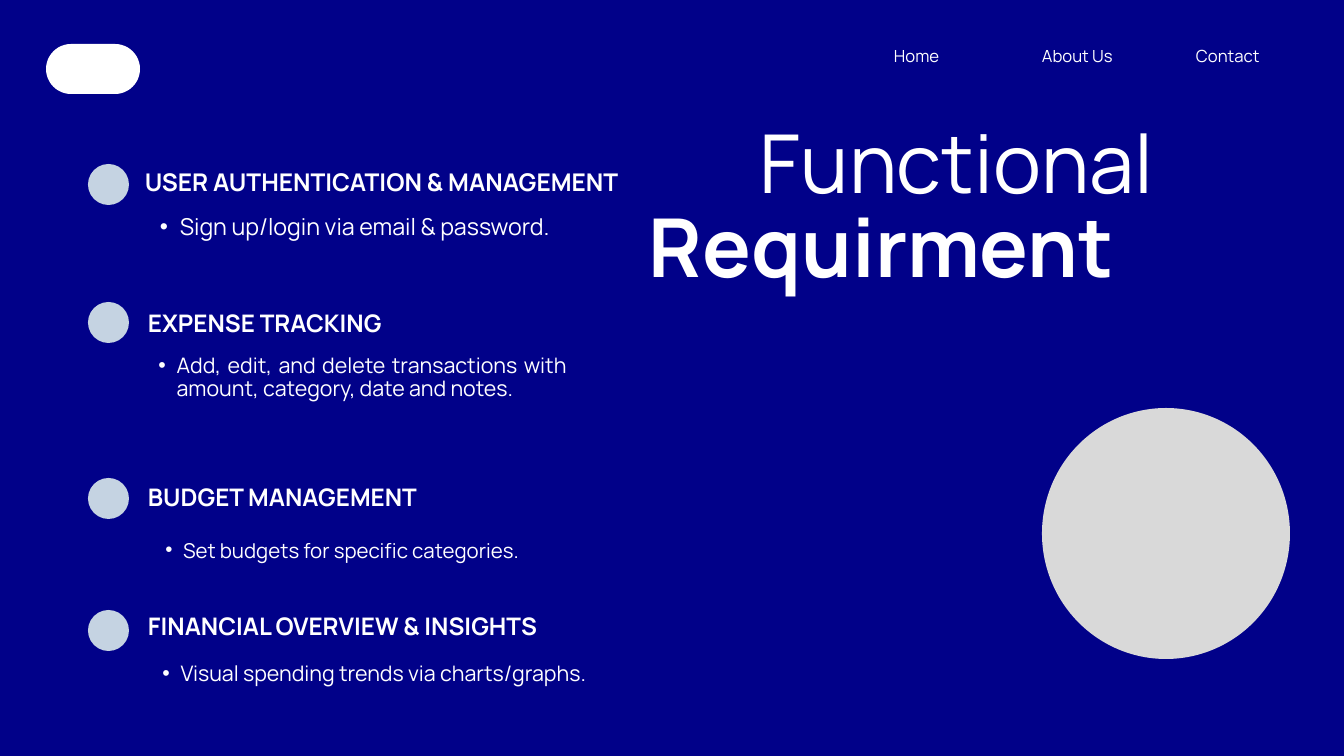
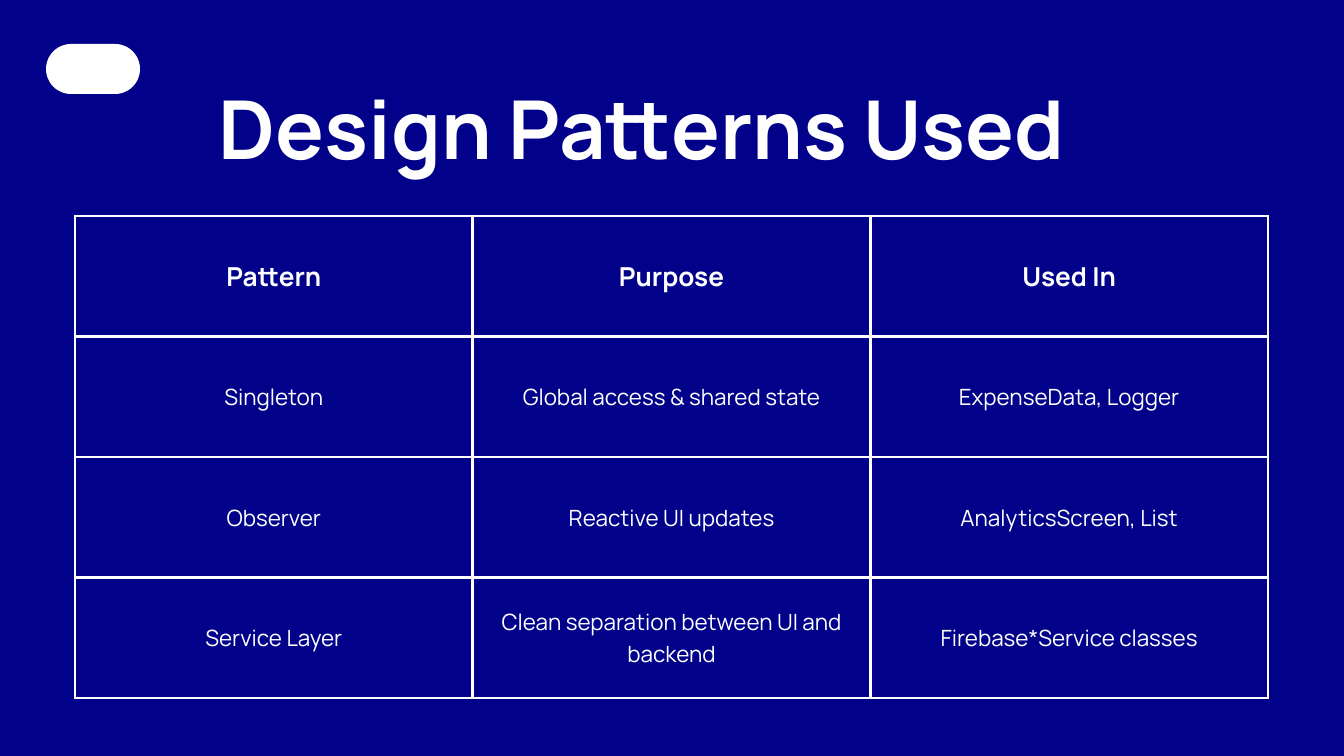
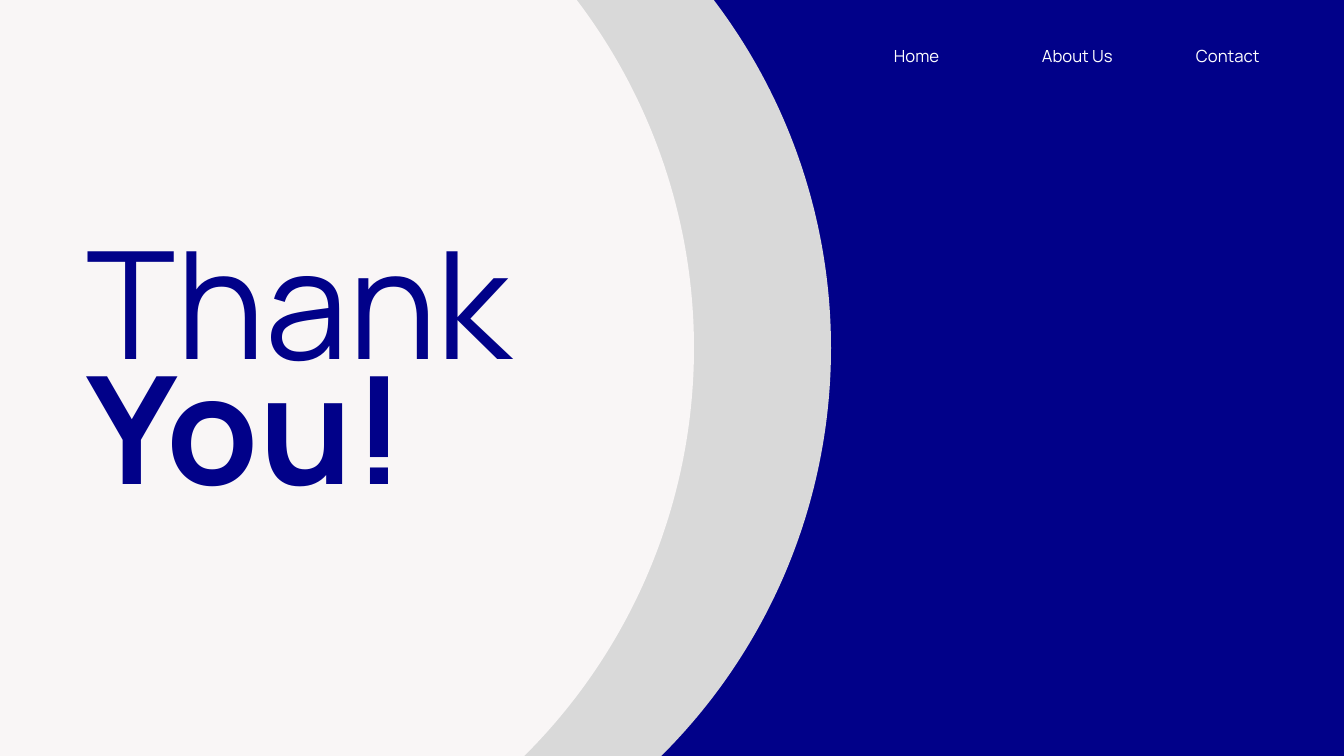
from lxml.etree import SubElement
from pptx import Presentation
from pptx.dml.color import RGBColor
from pptx.enum.shapes import MSO_SHAPE as Shape
from pptx.enum.text import MSO_ANCHOR as Anchor, MSO_AUTO_SIZE as AutoSize, PP_ALIGN as Align
from pptx.oxml.ns import qn
from pptx.util import Pt

EMU_PER_PX = 914400 / 67.2
SLIDE_SIZE = (1344, 756)

THEME = {
    "font": "Manrope",
    "colors": {"navy": "010189", "white": "FFFFFF", "grey": "D9D9D9",
               "mist": "C5D3E2", "paper": "F9F6F6"},
    "sizes": {"nav": 17.9, "title": 87, "closing": 160.3, "heading": 25.9,
              "table head": 28, "table body": 24},
    "text leading": 1.08,
    "table leading": 1.4,
    "border": 3,
}
COLORS, SIZES = THEME["colors"], THEME["sizes"]

# Content: boxes are (left, top, width, height) in px
NAV = [("Home", 894, 62), ("About Us", 1042, 89), ("Contact", 1196, 89)]
PILL = (46, 44, 94, 50)

REQUIREMENT_TITLE = [
    ("Functional", (760, 122, 532, 95), False),
    ("Requirment", (649, 206, 546, 95), True),
]
REQUIREMENT_DISC = (1042, 408, 248, 251)
DOT_LEFT, DOT_SIZE = 88, 41
REQUIREMENTS = [
    {"dot top": 164, "heading": "USER AUTHENTICATION & MANAGEMENT",
     "heading box": (145, 170, 495, 28), "heading size": 26.1,
     "detail": "Sign up/login via email & password.",
     "detail box": (140, 215, 427, 51), "detail size": 24.9},
    {"dot top": 302, "heading": "EXPENSE TRACKING",
     "heading box": (148, 311, 411, 54),
     "detail": "Add, edit, and delete transactions with amount, category, date and notes.",
     "detail box": (140, 355, 427, 71), "detail size": 22.9},
    {"dot top": 478, "heading": "BUDGET MANAGEMENT",
     "heading box": (148, 485, 370, 54),
     "detail": "Set budgets for specific categories.",
     "detail box": (148, 540, 427, 45), "detail size": 21.9},
    {"dot top": 610, "heading": "FINANCIAL OVERVIEW & INSIGHTS",
     "heading box": (148, 614, 464, 54),
     "detail": "Visual spending trends via charts/graphs.",
     "detail box": (144, 663, 484, 47), "detail size": 22.9},
]

PATTERNS_TITLE = ("Design Patterns Used", (219, 88, 947, 95))
PATTERNS_BOX = (75, 216, 1193, 482)
PATTERNS_PADDING = 14
PATTERNS = [
    ("Pattern", "Purpose", "Used In"),
    ("Singleton", "Global access & shared state", "ExpenseData, Logger"),
    ("Observer", "Reactive UI updates", "AnalyticsScreen, List"),
    ("Service Layer", "Clean separation between UI and backend", "Firebase*Service classes"),
]

CLOSING = [
    ("Thank", (87, 228, 499, 177), False),
    ("You!", (87, 353, 424, 177), True),
]
CLOSING_DISCS = [("grey", (-319, -227, 1150, 1150)), ("paper", (-456, -227, 1150, 1150))]


# Shared helpers
def px(length):
    return round(length * EMU_PER_PX)


def place(box):
    return [px(length) for length in box]


def rgb(color):
    return RGBColor.from_string(COLORS[color])


def write(paragraph, words, size, color="white", bold=False, leading=THEME["text leading"]):
    paragraph.line_spacing = Pt(round(size * leading, 1))
    run = paragraph.add_run()
    run.text = words
    for attribute, value in {"name": THEME["font"], "size": Pt(size), "bold": bold}.items():
        setattr(run.font, attribute, value)
    run.font.color.rgb = rgb(color)


def add_text(slide, words, box, size, color="white", bold=False):
    frame = slide.shapes.add_textbox(*place(box)).text_frame
    frame_format = {"word_wrap": True, "auto_size": AutoSize.SHAPE_TO_FIT_TEXT,
                    "margin_left": 0, "margin_top": 0, "margin_right": 0, "margin_bottom": 0}
    for attribute, value in frame_format.items():
        setattr(frame, attribute, value)
    paragraph = frame.paragraphs[0]
    write(paragraph, words, size, color, bold)
    return paragraph


def add_bullet(paragraph, size):
    indent = px(1.6 * size)
    properties = paragraph._p.get_or_add_pPr()
    properties.set("marL", str(indent))
    properties.set("indent", str(-indent // 2))
    SubElement(properties, qn("a:buFont"), typeface="Arial")
    SubElement(properties, qn("a:buChar"), char="•")
    paragraph.level = 1
    paragraph.alignment = Align.JUSTIFY


def add_filled(slide, preset, box, color):
    shape = slide.shapes.add_shape(preset, *place(box))
    shape.shadow.inherit = False
    shape.fill.solid()
    shape.fill.fore_color.rgb = rgb(color)
    shape.line.fill.background()
    return shape


def add_pill(slide):
    add_filled(slide, Shape.ROUNDED_RECTANGLE, PILL, "white").adjustments[0] = 0.5


def add_nav(slide):
    for label, left, width in NAV:
        add_text(slide, label, (left, 48, width, 20), SIZES["nav"])


def add_slide(deck):
    slide = deck.slides.add_slide(deck.slide_layouts[6])
    slide.background.fill.solid()
    slide.background.fill.fore_color.rgb = rgb("navy")
    return slide


def add_borders(cell):
    properties = cell._tc.get_or_add_tcPr()
    for side in ("lnL", "lnR", "lnT", "lnB"):
        line = SubElement(properties, qn(f"a:{side}"), w=str(Pt(THEME["border"])))
        fill = SubElement(line, qn("a:solidFill"))
        SubElement(fill, qn("a:srgbClr"), val=COLORS["white"])


# Slides
def build_requirements(deck):
    slide = add_slide(deck)
    add_pill(slide)
    add_filled(slide, Shape.OVAL, REQUIREMENT_DISC, "grey")
    add_nav(slide)
    for words, box, bold in REQUIREMENT_TITLE:
        add_text(slide, words, box, SIZES["title"], bold=bold)
    for item in REQUIREMENTS:
        dot = (DOT_LEFT, item["dot top"], DOT_SIZE, DOT_SIZE)
        add_filled(slide, Shape.OVAL, dot, "mist")
        heading_size = item.get("heading size", SIZES["heading"])
        add_text(slide, item["heading"], item["heading box"], heading_size, bold=True)
        detail = add_text(slide, item["detail"], item["detail box"], item["detail size"])
        add_bullet(detail, item["detail size"])


def build_patterns(deck):
    slide = add_slide(deck)
    add_pill(slide)
    frame = slide.shapes.add_table(len(PATTERNS), len(PATTERNS[0]), *place(PATTERNS_BOX))
    table = frame.table
    table.first_row = table.horz_banding = False
    padding = px(PATTERNS_PADDING)
    cell_format = {"vertical_anchor": Anchor.MIDDLE, "margin_left": padding,
                   "margin_right": padding, "margin_top": padding, "margin_bottom": padding}
    for row, entries in enumerate(PATTERNS):
        is_head = row == 0
        size = SIZES["table head" if is_head else "table body"]
        for column, words in enumerate(entries):
            cell = table.cell(row, column)
            for attribute, value in cell_format.items():
                setattr(cell, attribute, value)
            add_borders(cell)
            cell.fill.background()
            paragraph = cell.text_frame.paragraphs[0]
            paragraph.alignment = Align.CENTER
            write(paragraph, words, size, bold=is_head, leading=THEME["table leading"])
    title, box = PATTERNS_TITLE
    add_text(slide, title, box, SIZES["title"], bold=True)


def build_closing(deck):
    slide = add_slide(deck)
    for color, box in CLOSING_DISCS:
        add_filled(slide, Shape.OVAL, box, color)
    for words, box, bold in CLOSING:
        add_text(slide, words, box, SIZES["closing"], "navy", bold)
    add_nav(slide)


def main():
    deck = Presentation()
    deck.slide_width, deck.slide_height = place(SLIDE_SIZE)
    for build in (build_requirements, build_patterns, build_closing):
        build(deck)
    deck.save("out.pptx")


if __name__ == "__main__":
    main()
